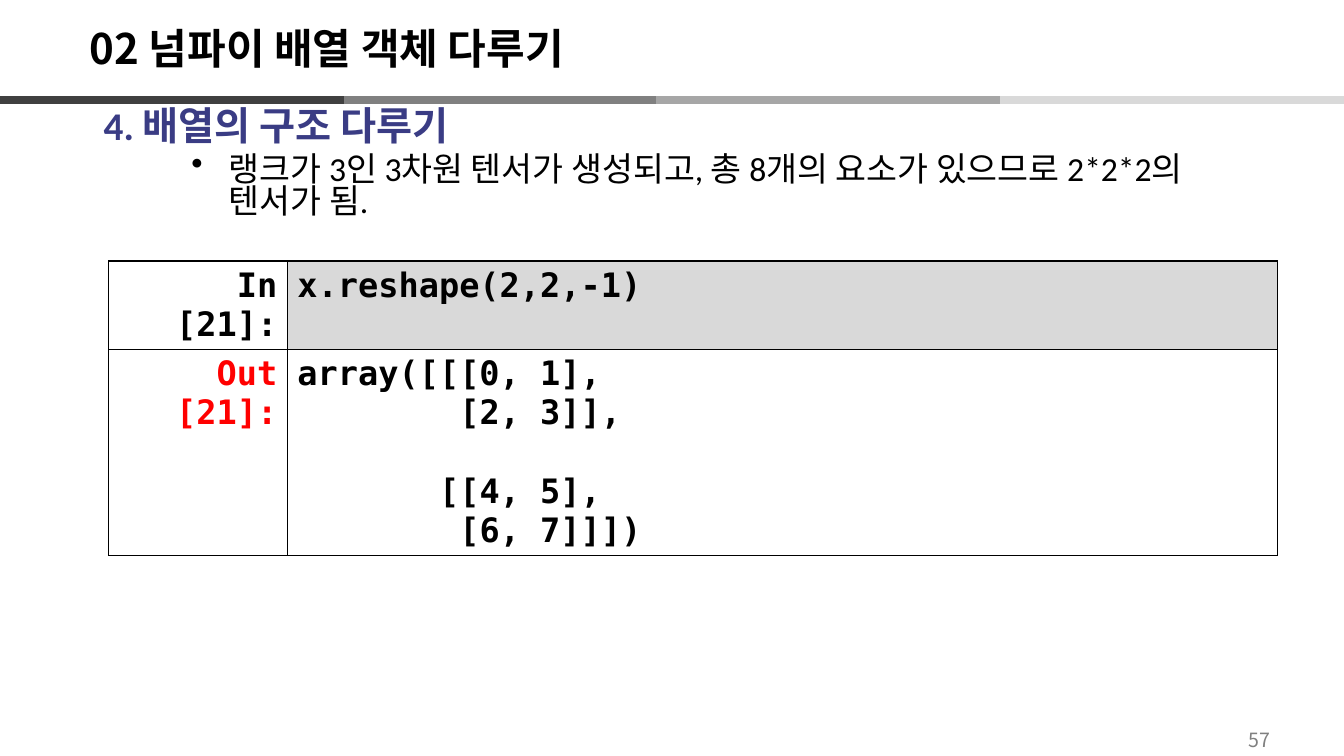
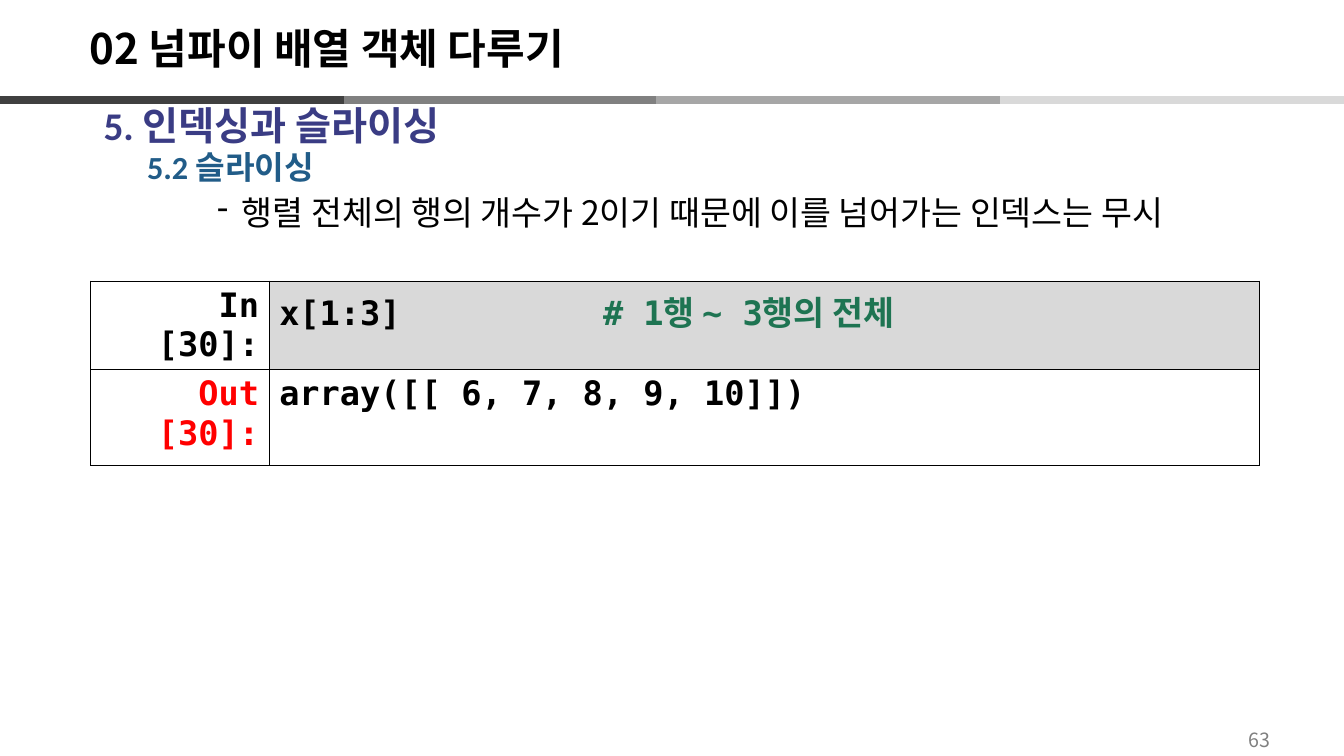
import dataclasses

import lxml.etree
import pptx
import pptx.dml.color
import pptx.enum.shapes
import pptx.enum.text
import pptx.oxml.ns
import pptx.util

ALIGN = pptx.enum.text.PP_ALIGN
ANCHOR = pptx.enum.text.MSO_ANCHOR


@dataclasses.dataclass(frozen=True)
class Theme:
    """Colours, fonts and type styles of the deck."""
    korean = "Noto Sans CJK KR"
    latin = "Calibri"
    mono = "DejaVu Sans Mono"
    bands = ("404040", "808080", "A6A6A6", "D9D9D9")
    band_width = 6
    border = "000000"
    input_fill = "D9D9D9"
    output_fill = "FFFFFF"
    mono_advance = 14.45  # points per character of 24 pt code
    code_line = 28

    # Font: family, size, colour, bold
    fonts = {
        "title": (korean, 30, "000000", True),
        "number": (korean, 14, "808080", False),
        "heading": (latin, 28, "3A3C84", True),
        "section": (latin, 23, "215C88", True),
        "point": (latin, 24, "000000", False),
        "detail": (korean, 24, "000000", False),
        "code": (mono, 24, "000000", True),
        "output": (mono, 24, "FF0000", True),
        "comment": (mono, 24, "1E7452", True),
    }
    # Paragraph: margin and indent in inches, bullet, then format values
    paragraphs = {
        "heading": (0.38, 0, None, {"line_spacing": 0.8}),
        "section": (0.81, 0, None, {"line_spacing": 0.8, "space_before": pptx.util.Pt(4.8)}),
        "point": (1.62, -0.37, "•", {"line_spacing": 0.8, "space_before": pptx.util.Pt(4.8)}),
        "detail": (1.75, -0.25, "‐", {"line_spacing": 1.0, "space_before": pptx.util.Pt(3.8)}),
    }


def assign(target, values):
    for name, value in values.items():
        setattr(target, name, value)


def child(parent, tag, **attributes):
    values = {name: str(value) for name, value in attributes.items()}
    return lxml.etree.SubElement(parent, pptx.oxml.ns.qn(tag), values)


def rgb(colour):
    return pptx.dml.color.RGBColor.from_string(colour)


class Builder:
    """Holds the style and the current page; lengths are percent of the slide."""

    def __init__(self, theme):
        self.theme = theme
        self.deck = pptx.Presentation()
        self.deck.slide_width = pptx.util.Inches(13.33)
        self.deck.slide_height = pptx.util.Inches(7.5)
        self.page = None

    def across(self, share):
        return round(self.deck.slide_width * share / 100)

    def down(self, share):
        return round(self.deck.slide_height * share / 100)

    def area(self, left, top, width, height):
        return self.across(left), self.down(top), self.across(width), self.down(height)

    def add_page(self, title, number):
        """Start a page with the shared bands, number and title."""
        self.page = self.deck.slides.add_slide(self.deck.slide_layouts[5])
        self.bands()
        self.number(number)
        self.title(title)

    def span(self, para, text, style):
        span = para.add_run()
        span.text = text
        family, size, colour, bold = self.theme.fonts[style]
        assign(span.font, {"size": pptx.util.Pt(size), "bold": bold, "name": family})
        span.font.color.rgb = rgb(colour)
        child(span.font._element, "a:ea", typeface=self.theme.korean)

    def frame(self, box, **values):
        frame = box.text_frame
        assign(frame, {"word_wrap": True, "auto_size": pptx.enum.text.MSO_AUTO_SIZE.NONE, **values})
        return frame

    def title(self, text):
        box = self.page.shapes.title
        names = ("left", "top", "width", "height")
        assign(box, dict(zip(names, self.area(5.93, 2.67, 74.79, 8))))
        para = self.frame(box, vertical_anchor=ANCHOR.MIDDLE).paragraphs[0]
        assign(para, {"alignment": ALIGN.LEFT, "line_spacing": 0.9})
        self.span(para, text, "title")

    def bands(self):
        step = 25.58
        height = self.down(13.2)
        # The dark band comes last and overlaps its neighbour
        for index in (1, 2, 3, 0):
            start = 100 - (4 - index) * step if index else 0
            line = self.page.shapes.add_connector(
                pptx.enum.shapes.MSO_CONNECTOR.STRAIGHT,
                self.across(start), height, self.across(start + step), height)
            line.line.color.rgb = rgb(self.theme.bands[index])
            line.line.width = pptx.util.Pt(self.theme.band_width)
            child(line._element.spPr, "a:effectLst")

    def number(self, number):
        box = self.page.shapes.add_textbox(*self.area(90.17, 95.2, 7.05, 5.2))
        para = self.frame(box, vertical_anchor=ANCHOR.MIDDLE).paragraphs[0]
        para.alignment = ALIGN.CENTER
        self.span(para, str(number), "number")

    def outline(self, width, items):
        """Headings and bullets, given as (style, text)."""
        box = self.page.shapes.add_textbox(*self.area(4.13, 13.33, width, 78))
        frame = self.frame(box, margin_top=pptx.util.Inches(0.1))
        for index, (style, text) in enumerate(items):
            para = frame.add_paragraph() if index else frame.paragraphs[0]
            margin, indent, bullet, values = self.theme.paragraphs[style]
            assign(para, values)
            props = para._p.get_or_add_pPr()
            props.set("marL", str(pptx.util.Inches(margin)))
            props.set("indent", str(pptx.util.Inches(indent)))
            if bullet:
                child(props, "a:buChar", char=bullet)
            self.span(para, text, style)

    def cell(self, cell, fill):
        """Border and fill of one table cell."""
        props = cell._tc.get_or_add_tcPr()
        for side in ("a:lnL", "a:lnR", "a:lnT", "a:lnB"):
            line = child(props, side, w=pptx.util.Pt(1))
            child(child(line, "a:solidFill"), "a:srgbClr", val=self.theme.border)
        cell.fill.solid()
        cell.fill.fore_color.rgb = rgb(fill)
        return cell.text_frame

    def code_lines(self, frame, lines):
        """Lines of (indent in characters, blank lines before, spans)."""
        advance = self.theme.mono_advance
        for index, (indent, gap, spans) in enumerate(lines):
            para = frame.add_paragraph() if index else frame.paragraphs[0]
            para.space_before = pptx.util.Pt(gap * self.theme.code_line)
            props = para._p.get_or_add_pPr()
            props.set("marL", str(pptx.util.Pt(indent * advance)))
            if len(spans) > 1:
                # Comments start at character 16
                child(child(props, "a:tabLst"), "a:tab", pos=pptx.util.Pt(16 * advance), algn="l")
            for text, style in spans:
                self.span(para, text, style)

    def notebook(self, left, top, heights, count, source, result):
        """Table with one input and one output row."""
        widths = (13.28, 73.67)
        table = self.page.shapes.add_table(
            2, 2, *self.area(left, top, sum(widths), sum(heights))).table
        assign(table, {"first_row": False, "horz_banding": False})
        for column, width in zip(table.columns, widths):
            column.width = self.across(width)
        rows = (("In", "code", self.theme.input_fill, source),
                ("Out", "output", self.theme.output_fill, result))
        for index, (label, style, fill, lines) in enumerate(rows):
            table.rows[index].height = self.down(heights[index])
            para = self.cell(table.cell(index, 0), self.theme.output_fill).paragraphs[0]
            para.alignment = ALIGN.RIGHT
            self.span(para, f"{label} [{count}]:", style)
            self.code_lines(self.cell(table.cell(index, 1), fill), lines)


def code(text, indent=0, gap=0):
    return indent, gap, [(text, "code")]


def main():
    builder = Builder(Theme())
    chapter = "02 넘파이 배열 객체 다루기"

    # Reshaping
    builder.add_page(chapter, 57)
    builder.outline(89.8, [
        ("heading", "4. 배열의 구조 다루기"),
        ("point", "랭크가 3인 3차원 텐서가 생성되고, 총 8개의 요소가 있으므로 2*2*2의 텐서가 됨."),
    ])
    builder.notebook(
        8.1, 34.53, (11.6, 27.3), 21,
        [code("x.reshape(2,2,-1)")],
        [code("array([[[0, 1],"), code("[2, 3]],", 8),
         code("[[4, 5],", 7, gap=1), code("[6, 7]]])", 8)])

    # Slicing
    builder.add_page(chapter, 63)
    builder.outline(92.12, [
        ("heading", "5. 인덱싱과 슬라이싱"),
        ("section", "5.2 슬라이싱"),
        ("detail", "행렬 전체의 행의 개수가 2이기 때문에 이를 넘어가는 인덱스는 무시"),
    ])
    builder.notebook(
        6.75, 37.2, (11.33, 12.67), 30,
        [(0, 0, [("x[1:3]\t", "code"), ("# 1행 ~ 3행의 전체", "comment")])],
        [code("array([[ 6, 7, 8, 9, 10]])")])

    builder.deck.save("out.pptx")


if __name__ == "__main__":
    main()
